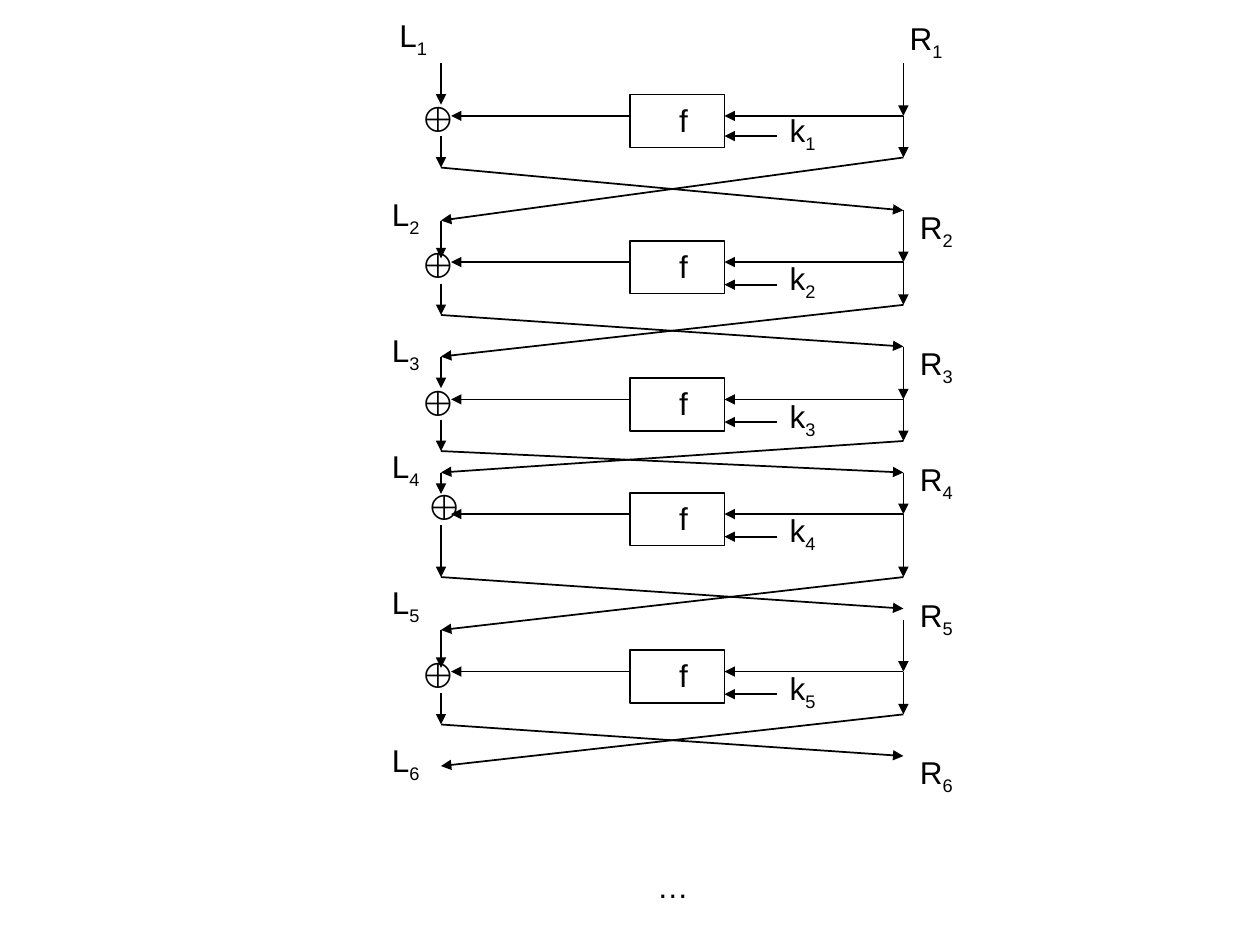
"""Build a slide showing five rounds of a Feistel network."""
import lxml.etree
import pptx
import pptx.dml.color
import pptx.enum.shapes
import pptx.enum.text
import pptx.oxml.ns
import pptx.util

Inches = pptx.util.Inches
rgb = pptx.dml.color.RGBColor.from_string
qn = pptx.oxml.ns.qn
BLACK = "000000"
LEFT, RIGHT = 3.5, 7.17
BOX_LEFT, BOX_RIGHT = 5, 5.75


def add_label(x, y, w, text, sub="", h=0.4, size=18, font="Arial", wrap=False):
    tb = s.shapes.add_textbox(Inches(x), Inches(y), Inches(w), Inches(h))
    tf = tb.text_frame
    tf.word_wrap = wrap
    tf.auto_size = pptx.enum.text.MSO_AUTO_SIZE.SHAPE_TO_FIT_TEXT
    p = tf.paragraphs[0]
    p.alignment = pptx.enum.text.PP_ALIGN.CENTER
    for part in filter(None, (text, sub)):
        r = p.add_run()
        r.text = part
        r.font.size = pptx.util.Pt(size)
        r.font.name = font
        r.font.color.rgb = rgb(BLACK)
    if sub:
        r.font._element.set("baseline", "-25000")


def add_arrow(x1, y1, x2, y2):
    c = s.shapes.add_connector(pptx.enum.shapes.MSO_CONNECTOR.STRAIGHT,
                               Inches(x1), Inches(y1), Inches(x2), Inches(y2))
    c.line.color.rgb = rgb(BLACK)
    c.line.width = pptx.util.Pt(1)
    lxml.etree.SubElement(c.line._get_or_add_ln(), qn("a:tailEnd"), type="triangle")
    lxml.etree.SubElement(c._element.spPr, qn("a:effectLst"))


prs = pptx.Presentation()
prs.slide_width, prs.slide_height = Inches(10), Inches(7.5)
s = prs.slides.add_slide(prs.slide_layouts[6])

mids = [0.92, 2.08, 3.17, 4.08, 5.33]
left_starts = [0.5, 1.75, 2.83, 3.75, 5, 6.08]
left_tips = [0.83, 2.05, 3.08, 3.92, 5.3]
left_exits = [1.08, 2.25, 3.33, 4.17, 5.5]
left_ends = [1.33, 2.5, 3.58, 4.58, 5.75]
right_starts = [0.5, 1.67, 2.75, 3.75, 4.92]
right_ends = [1.25, 2.42, 3.5, 4.58, 5.67]
cross_ends = [1.67, 2.75, 3.75, 4.83, 6]
xor_spots = [(3.25, 0.67), (3.25, 1.83), (3.25, 2.92), (3.3, 3.75), (3.25, 5.08)]
key_ys = [1.08, 2.26, 3.35, 4.26, 5.51]

for i, mid in enumerate(mids):
    sp = s.shapes.add_shape(pptx.enum.shapes.MSO_SHAPE.RECTANGLE, Inches(BOX_LEFT),
                            Inches(mid - 0.17), Inches(BOX_RIGHT - BOX_LEFT), Inches(0.42))
    sp.shadow.inherit = False
    sp.fill.background()
    sp.line.color.rgb = rgb(BLACK)
    sp.line.width = pptx.util.Pt(1)
    add_label(5.28, mid - 0.17, 0.29, "f")
    add_label(*xor_spots[i], 0.45, "⨁", h=0.5, size=24, font="DejaVu Sans Mono", wrap=True)

    add_arrow(BOX_LEFT, mid, 3.58, mid)
    add_arrow(RIGHT, mid, BOX_RIGHT, mid)
    add_arrow(LEFT, left_starts[i], LEFT, left_tips[i])
    add_arrow(LEFT, left_exits[i], LEFT, left_ends[i])
    add_arrow(RIGHT, right_starts[i], RIGHT, mid)
    add_arrow(RIGHT, mid, RIGHT, right_ends[i])
    add_arrow(RIGHT, right_ends[i], LEFT, left_starts[i + 1])
    add_arrow(LEFT, left_ends[i], RIGHT, cross_ends[i])

    add_label(6.16, key_ys[i] - 0.25, 0.42, "k", str(i + 1))
    add_arrow(6.17, key_ys[i], BOX_RIGHT, key_ys[i])

add_label(3.06, 0.08, 0.44, "L", "1")
add_label(7.11, 0.1, 0.48, "R", "1")
for n, y in enumerate([1.5, 2.58, 3.5, 4.58, 5.83], start=2):
    add_label(3, y, 0.44, "L", str(n))
    add_label(7.19, y + 0.1, 0.48, "R", str(n))
add_label(4.6, 6.83, 1.48, "…", wrap=True)

prs.save("out.pptx")
